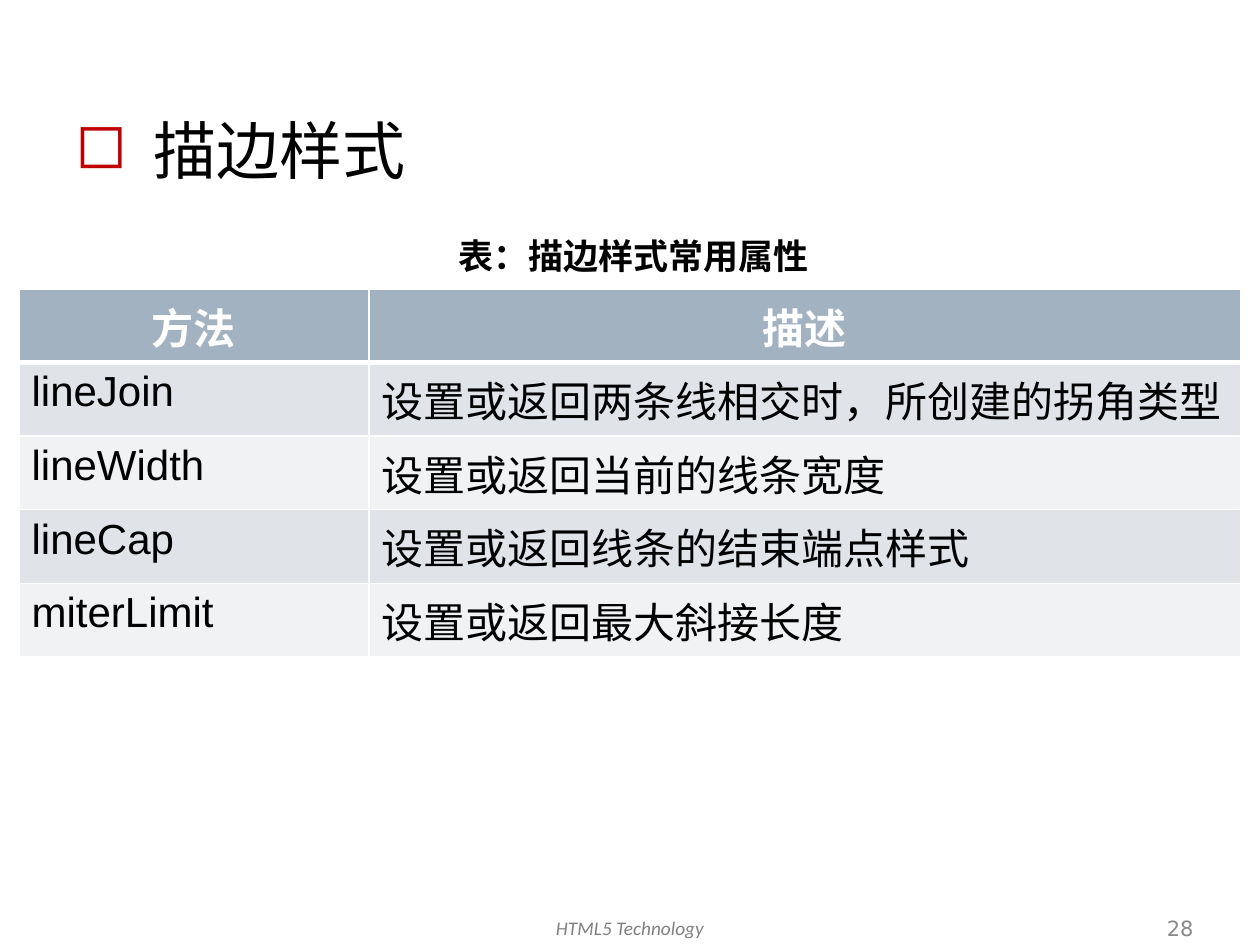
from dataclasses import dataclass

import lxml.etree
import pptx
import pptx.dml.color
import pptx.enum.text
import pptx.oxml.ns
import pptx.util

PX_PER_INCH = 126
ALIGN = pptx.enum.text.PP_ALIGN
ANCHOR = pptx.enum.text.MSO_ANCHOR


@dataclass(frozen=True)
class TextStyle:
    size: int
    color: str
    font: str = "Arial"
    bold: bool = False
    italic: bool = False


@dataclass(frozen=True)
class Theme:
    title: TextStyle = TextStyle(36, "000000")
    caption: TextStyle = TextStyle(20, "000000", bold=True)
    header: TextStyle = TextStyle(24, "FFFFFF", bold=True)
    body: TextStyle = TextStyle(24, "000000")
    footer: TextStyle = TextStyle(11, "808080", "Calibri", italic=True)
    page_number: TextStyle = TextStyle(12, "898989", "DejaVu Sans")
    bullet: str = "C00000"
    border: str = "FFFFFF"
    header_fill: str = "A3B2C1"
    bands: tuple[str, str] = ("E0E4E9", "F0F2F4")


@dataclass(frozen=True)
class Box:
    left: int
    top: int
    width: int
    height: int

    def emu(self) -> tuple[int, int, int, int]:
        return px(self.left), px(self.top), px(self.width), px(self.height)


@dataclass(frozen=True)
class Label:
    text: str
    box: Box
    style: TextStyle
    align: ALIGN = ALIGN.LEFT
    anchor: ANCHOR = ANCHOR.TOP
    wrap: bool = True


@dataclass(frozen=True)
class Property:
    method: str
    description: str


THEME = Theme()
HEADINGS = Property("方法", "描述")
PROPERTIES = (
    Property("lineJoin", "设置或返回两条线相交时，所创建的拐角类型"),
    Property("lineWidth", "设置或返回当前的线条宽度"),
    Property("lineCap", "设置或返回线条的结束端点样式"),
    Property("miterLimit", "设置或返回最大斜接长度"),
)
LABELS = (
    Label("HTML5 Technology", Box(406, 910, 448, 41), THEME.footer, ALIGN.CENTER),
    Label("28", Box(922, 910, 284, 36), THEME.page_number, ALIGN.RIGHT, ANCHOR.MIDDLE),
    Label("表：描边样式常用属性", Box(446, 228, 380, 55), THEME.caption, wrap=False),
)
TABLE_BOX = Box(19, 289, 1222, 315)
COLUMN_WIDTHS = (350, 872)


def px(length: int) -> int:
    return round(length * pptx.util.Inches(1) / PX_PER_INCH)


def rgb(color: str) -> pptx.dml.color.RGBColor:
    return pptx.dml.color.RGBColor.from_string(color)


def add_child(parent: lxml.etree._Element, tag: str, **attributes: str) -> lxml.etree._Element:
    return lxml.etree.SubElement(parent, pptx.oxml.ns.qn(tag), attributes)


def write(paragraph, text: str, style: TextStyle, align: ALIGN = ALIGN.LEFT) -> None:
    paragraph.text = text
    paragraph.alignment = align
    for run in paragraph.runs:
        run.font.size = pptx.util.Pt(style.size)
        run.font.name = style.font
        run.font.bold = style.bold
        run.font.italic = style.italic
        run.font.color.rgb = rgb(style.color)


def draw_title(slide, text: str, box: Box) -> None:
    title = slide.shapes.title
    title.left, title.top, title.width, title.height = box.emu()
    frame = title.text_frame
    frame.vertical_anchor = ANCHOR.TOP
    frame.auto_size = pptx.enum.text.MSO_AUTO_SIZE.NONE
    paragraph = frame.paragraphs[0]
    properties = paragraph._p.get_or_add_pPr()
    properties.set("marL", str(px(78)))
    properties.set("indent", str(-px(78)))
    bullet_color = add_child(properties, "a:buClr")
    add_child(bullet_color, "a:srgbClr", val=THEME.bullet)
    add_child(properties, "a:buChar", char="◻")
    write(paragraph, text, THEME.title)


def draw_label(slide, label: Label) -> None:
    frame = slide.shapes.add_textbox(*label.box.emu()).text_frame
    frame.word_wrap = label.wrap
    frame.vertical_anchor = label.anchor
    if not label.wrap:
        frame.auto_size = pptx.enum.text.MSO_AUTO_SIZE.SHAPE_TO_FIT_TEXT
    write(frame.paragraphs[0], label.text, label.style, label.align)


def set_borders(cell, top: int, bottom: int) -> None:
    """Draw the cell's four borders; top and bottom widths are in points."""
    properties = cell._tc.get_or_add_tcPr()
    for side, width in (("L", 1), ("R", 1), ("T", top), ("B", bottom)):
        line = add_child(properties, f"a:ln{side}", w=str(pptx.util.Pt(width)))
        fill = add_child(line, "a:solidFill")
        add_child(fill, "a:srgbClr", val=THEME.border)


def draw_table(slide) -> None:
    rows = (HEADINGS, *PROPERTIES)
    table = slide.shapes.add_table(len(rows), len(COLUMN_WIDTHS), *TABLE_BOX.emu()).table
    for column, width in zip(table.columns, COLUMN_WIDTHS):
        column.width = px(width)
    for index, entry in enumerate(rows):
        is_header = index == 0
        style = THEME.header if is_header else THEME.body
        align = ALIGN.CENTER if is_header else ALIGN.LEFT
        fill = THEME.header_fill if is_header else THEME.bands[(index - 1) % 2]
        for cell, text in zip(table.rows[index].cells, (entry.method, entry.description)):
            set_borders(cell, top=3 if index == 1 else 1, bottom=3 if is_header else 1)
            cell.fill.solid()
            cell.fill.fore_color.rgb = rgb(fill)
            write(cell.text_frame.paragraphs[0], text, style, align)


def main() -> None:
    presentation = pptx.Presentation()
    presentation.slide_width, presentation.slide_height = px(1260), px(945)
    slide = presentation.slides.add_slide(presentation.slide_layouts.get_by_name("Title Only"))
    draw_title(slide, "描边样式", Box(63, 105, 1178, 123))
    draw_table(slide)
    for label in LABELS:
        draw_label(slide, label)
    presentation.save("out.pptx")


if __name__ == "__main__":
    main()
